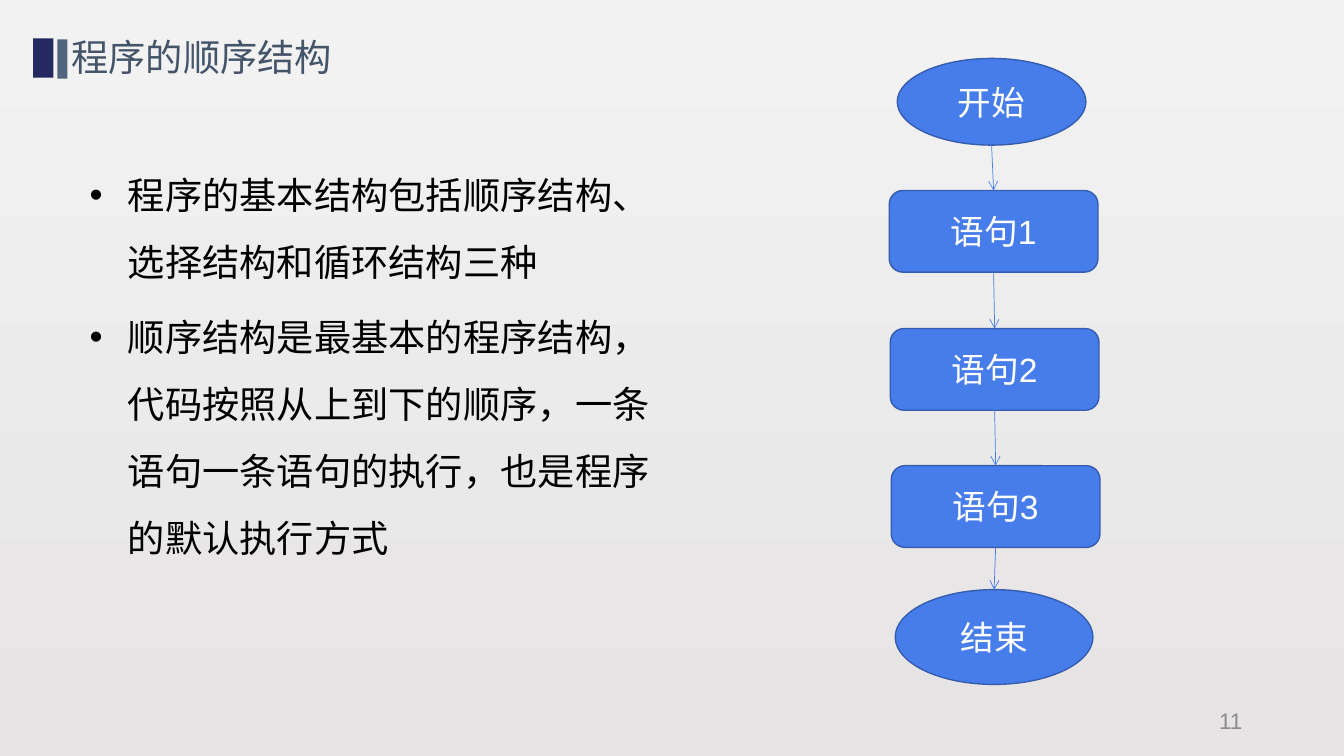
from itertools import pairwise

from lxml.etree import SubElement
from pptx import Presentation
from pptx.dml.color import RGBColor
from pptx.enum.shapes import MSO_CONNECTOR as Connector, MSO_SHAPE as Shape
from pptx.enum.text import MSO_ANCHOR as Anchor, MSO_AUTO_SIZE as AutoSize, PP_ALIGN as Align
from pptx.oxml.ns import qn
from pptx.util import Inches, Pt

BLUE = "477DEA"
BULLETS = [
    "程序的基本结构包括顺序结构、选择结构和循环结构三种",
    "顺序结构是最基本的程序结构，代码按照从上到下的顺序，一条语句一条语句的执行，也是程序的默认执行方式",
]
STEPS = [
    ("开始", Shape.OVAL, 0.08, 0, 1.87, 0.86),
    ("语句1", Shape.ROUNDED_RECTANGLE, 0, 1.31, 2.07, 0.81),
    ("语句2", Shape.ROUNDED_RECTANGLE, 0.01, 2.68, 2.07, 0.81),
    ("语句3", Shape.ROUNDED_RECTANGLE, 0.02, 4.04, 2.07, 0.81),
    ("结束", Shape.OVAL, 0.06, 5.27, 1.96, 0.94),
]


def color(value):
    """Turn a hex string into a colour."""
    return RGBColor.from_string(value)


def set_font(paragraph, size, value, name="Arial"):
    """Set the font of a whole paragraph."""
    font = paragraph.font
    font.size, font.name = Pt(size), name
    font.color.rgb = color(value)


def add_filled_shape(slide, kind, left, top, width, height, fill):
    """Add a flat preset shape without an outline."""
    shape = slide.shapes.add_shape(kind, Inches(left), Inches(top), Inches(width), Inches(height))
    shape.shadow.inherit = False
    shape.fill.solid()
    shape.fill.fore_color.rgb = color(fill)
    shape.line.fill.background()
    return shape


def add_text_frame(slide, left, top, width, height, wrap=True):
    """Add a text box and return its text frame."""
    box = slide.shapes.add_textbox(Inches(left), Inches(top), Inches(width), Inches(height))
    box.text_frame.word_wrap = wrap
    return box.text_frame


def set_background(slide):
    """Fill the slide with a vertical grey gradient."""
    fill = slide.background.fill
    fill.gradient()
    fill.gradient_angle = 270
    for stop, position, value in zip(fill.gradient_stops, (0, 1), ("F2F2F2", "E6E4E4")):
        stop.position = position
        stop.color.rgb = color(value)


def add_title(slide, left, top):
    """Draw the two title bars and the heading beside them."""
    add_filled_shape(slide, Shape.RECTANGLE, left, top, 0.2, 0.39, "252961")
    add_filled_shape(slide, Shape.RECTANGLE, left + 0.24, top + 0.01, 0.1, 0.39, "52657E")
    frame = add_text_frame(slide, left + 0.28, top - 0.09, 2.8, 0.55, wrap=False)
    frame.auto_size = AutoSize.SHAPE_TO_FIT_TEXT
    paragraph = frame.paragraphs[0]
    paragraph.text = "程序的顺序结构"
    set_font(paragraph, 26.6, "445469", "Manrope")


def add_bullets(slide, left, top, width, height):
    """Write the bulleted explanation."""
    frame = add_text_frame(slide, left, top, width, height)
    for index, text in enumerate(BULLETS):
        paragraph = frame.add_paragraph() if index else frame.paragraphs[0]
        paragraph.text = text
        paragraph.line_spacing = 1.5
        paragraph.space_before = Pt(5.3 if index else 0)
        properties = paragraph._p.get_or_add_pPr()
        properties.set("marL", str(Inches(0.38)))
        properties.set("indent", str(Inches(-0.38)))
        SubElement(properties, qn("a:buFont"), typeface="Arial")
        SubElement(properties, qn("a:buChar"), char="•")
        set_font(paragraph, 26.6, "000000")


def add_step(slide, text, kind, left, top, width, height):
    """Draw one labelled step of the flowchart."""
    step = add_filled_shape(slide, kind, left, top, width, height, BLUE)
    step.line.color.rgb = color("355CAD")
    step.line.width = Pt(1)
    step.text_frame.vertical_anchor = Anchor.MIDDLE
    paragraph = step.text_frame.paragraphs[0]
    paragraph.text = text
    paragraph.alignment = Align.CENTER
    set_font(paragraph, 24, "FFFFFF")
    return step


def add_arrow(slide, upper, lower):
    """Join the bottom of one step to the top of the next."""
    arrow = slide.shapes.add_connector(
        Connector.STRAIGHT,
        upper.left + upper.width // 2,
        upper.top + upper.height,
        lower.left + lower.width // 2,
        lower.top,
    )
    arrow.line.color.rgb = color(BLUE)
    arrow.line.width = Pt(0.5)
    SubElement(arrow.line._get_or_add_ln(), qn("a:tailEnd"), type="arrow")
    SubElement(arrow._element.spPr, qn("a:effectLst"))


def add_flowchart(slide, left, top):
    """Draw the steps from start to end and the arrows between them."""
    steps = [
        add_step(slide, text, kind, left + x, top + y, width, height)
        for text, kind, x, y, width, height in STEPS
    ]
    for upper, lower in pairwise(steps):
        add_arrow(slide, upper, lower)


def add_slide_number(slide, left, top, width, height):
    """Write the slide number at the lower right."""
    frame = add_text_frame(slide, left, top, width, height)
    frame.vertical_anchor = Anchor.MIDDLE
    paragraph = frame.paragraphs[0]
    paragraph.text = "11"
    paragraph.alignment = Align.RIGHT
    set_font(paragraph, 16, "8C8C8C")


def main():
    """Build the slide and save it."""
    presentation = Presentation()
    presentation.slide_width, presentation.slide_height = Inches(13.33), Inches(7.5)
    slide = presentation.slides.add_slide(presentation.slide_layouts[6])
    set_background(slide)
    add_slide_number(slide, 9.42, 6.95, 3, 0.4)
    add_title(slide, 0.33, 0.38)
    add_bullets(slide, 0.79, 1.44, 6.09, 5.03)
    add_flowchart(slide, 8.82, 0.58)
    presentation.save("out.pptx")


if __name__ == "__main__":
    main()
